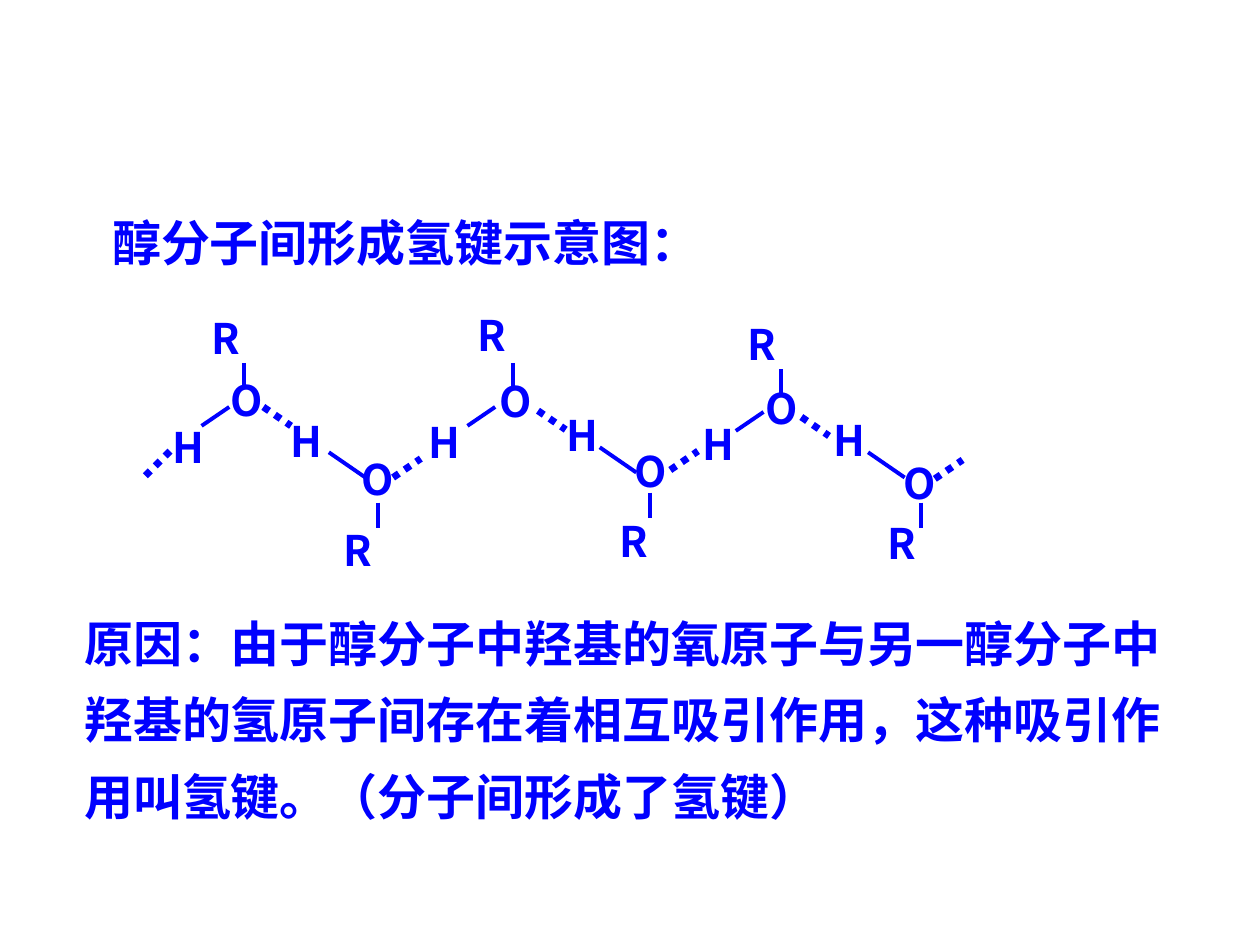
from lxml.etree import SubElement
from pptx import Presentation
from pptx.dml.color import RGBColor
from pptx.enum.dml import MSO_LINE
from pptx.enum.shapes import MSO_CONNECTOR
from pptx.enum.text import MSO_ANCHOR, MSO_AUTO_SIZE, PP_ALIGN
from pptx.oxml.ns import qn
from pptx.util import Inches, Pt

COLORS = {"blue": "0000FF"}
BLUE = RGBColor.from_string(COLORS["blue"])
TEXT_FONT, ATOM_FONT = "Arial", "Noto Sans CJK SC"

# Atom label: width, left inset, alignment, box corners within the chain
ATOMS = {
    "R": (1.61, 0.25, PP_ALIGN.LEFT,
          [(0.30, 0.02), (1.35, 1.70), (2.41, 0), (3.54, 1.63), (4.55, 0.07), (5.66, 1.65)]),
    "O": (0.51, 0.1, PP_ALIGN.CENTER,
          [(0.57, 0.51), (1.61, 1.14), (2.71, 0.52), (3.78, 1.08), (4.82, 0.58), (5.91, 1.17)]),
    "H": (0.51, 0.1, PP_ALIGN.CENTER,
          [(0.11, 0.89), (1.05, 0.84), (2.14, 0.85), (3.24, 0.79), (4.32, 0.86), (5.36, 0.83)]),
}
# Bonds that share a direction: dx, dy, hydrogen bond or not, starting points
BONDS = [
    (0, 0.2, False, [(0.81, 0.47), (1.87, 1.58), (2.94, 0.47),
                     (4.03, 1.50), (5.07, 0.52), (6.18, 1.58)]),
    (0.22, -0.15, False, [(0.47, 0.97), (2.58, 0.97), (4.71, 1.01)]),
    (0.29, 0.2, False, [(1.48, 1.18), (3.63, 1.14), (5.76, 1.18)]),
    (0.22, 0.15, True, [(0.96, 0.82), (3.14, 0.85), (5.23, 0.90)]),
    (0.22, -0.15, True, [(1.99, 1.38), (4.19, 1.32), (6.29, 1.39)]),
    (-0.22, 0.22, True, [(0.22, 1.17)]),
]


def write_text(sp, text, font, size, align=PP_ALIGN.LEFT, inset=0.1):
    tf = sp.text_frame
    tf.word_wrap = True
    tf.auto_size = MSO_AUTO_SIZE.SHAPE_TO_FIT_TEXT
    tf.vertical_anchor = MSO_ANCHOR.TOP
    tf.margin_left = Inches(inset)
    tf.text = text
    p = tf.paragraphs[0]
    p.alignment = align
    p.font.name, p.font.size, p.font.bold = font, Pt(size), True
    p.font.color.rgb = BLUE
    return p


def add_title(s, x, y, w, h):
    title = s.shapes.title
    title.left, title.top, title.width, title.height = map(Inches, (x, y, w, h))
    write_text(title, "醇分子间形成氢键示意图：", TEXT_FONT, 28)


def add_reason(s, x, y, w, h):
    sp = s.shapes.add_textbox(*map(Inches, (x, y, w, h)))
    p = write_text(sp, "原因：由于醇分子中羟基的氧原子与另一醇分子中羟基的氢原子间存在着"
                       "相互吸引作用，这种吸引作用叫氢键。（分子间形成了氢键）", TEXT_FONT, 28)
    p.line_spacing = 1.3


def add_bond(shapes, x, y, dx, dy, hydrogen):
    line = shapes.add_connector(MSO_CONNECTOR.STRAIGHT,
                                *map(Inches, (x, y, x + dx, y + dy)))
    line.line.color.rgb = BLUE
    line.line.width = Pt(4 if hydrogen else 2.25)
    if hydrogen:
        line.line.dash_style = MSO_LINE.ROUND_DOT
    SubElement(line._element.spPr, qn("a:effectLst"))


def add_chain(s, x, y):
    """Grouped zigzag of alcohol molecules, with its top left corner at x, y."""
    shapes = s.shapes.add_group_shape().shapes
    for symbol, (width, inset, align, corners) in ATOMS.items():
        for left, top in corners:
            sp = shapes.add_textbox(*map(Inches, (x + left, y + top, width, 0.5)))
            write_text(sp, symbol, ATOM_FONT, 24, align, inset)
    for dx, dy, hydrogen, starts in BONDS:
        for left, top in starts:
            add_bond(shapes, x + left, y + top, dx, dy, hydrogen)


def main():
    prs = Presentation()
    prs.slide_width, prs.slide_height = Inches(10), Inches(7.5)
    s = prs.slides.add_slide(prs.slide_layouts[5])
    add_title(s, 0.79, 1.64, 5.31, 0.57)
    add_reason(s, 0.57, 4.68, 8.9, 1.92)
    add_chain(s, 1.13, 2.41)
    prs.save("out.pptx")


if __name__ == "__main__":
    main()
